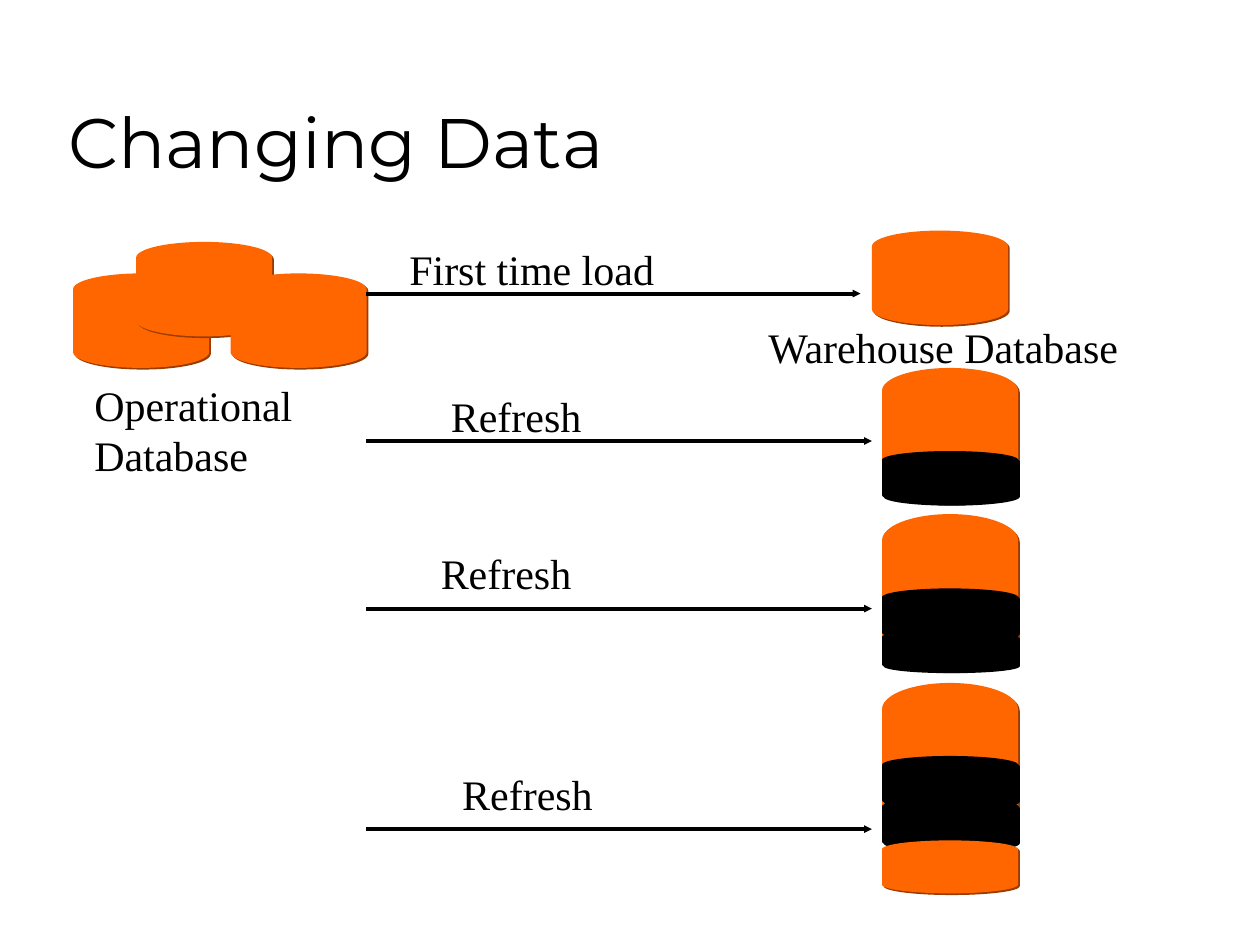
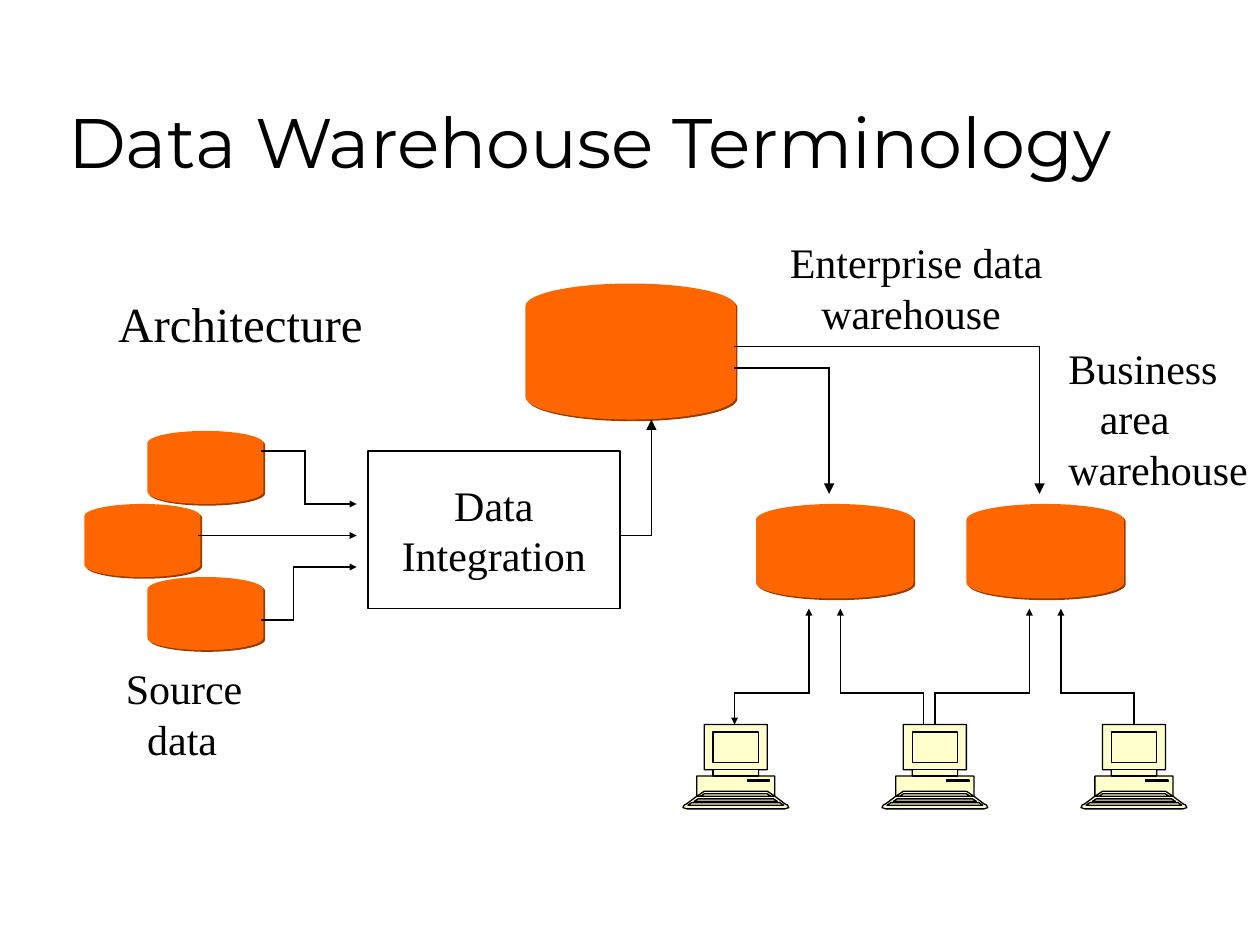
"""Build two slides on data warehouse loading and terminology."""
from itertools import pairwise

from lxml import etree
from pptx import Presentation
from pptx import util as u
from pptx.dml.color import RGBColor
from pptx.enum import shapes, text
from pptx.oxml import ns

BLACK, ORANGE, RUST, CREAM = "000000", "FF6600", "983C00", "FFFFCC"
SERIF, SANS = "Times New Roman", "Montserrat"


def ink(fmt, color):
    """Make a fill solid in a hex colour."""
    fmt.solid()
    fmt.fore_color.rgb = RGBColor.from_string(color)


def write(frame, lines, size, face=SERIF, align=text.PP_ALIGN.LEFT, **look):
    """Fill a text frame from a mapping of line to left indent."""
    for key, val in {"word_wrap": False, **look}.items():
        setattr(frame, key, val)
    for i, (line, dent) in enumerate(lines.items()):
        para = frame.paragraphs[0] if i == 0 else frame.add_paragraph()
        para.alignment = align
        if dent:
            props = para._p.get_or_add_pPr()
            props.set("marL", str(u.Inches(dent)))
            props.set("indent", "0")
        run = para.add_run()
        run.text = line
        for key, val in {"name": face, "size": u.Pt(size)}.items():
            setattr(run.font, key, val)
        ink(run.font.fill, BLACK)


pages = [
    {
        "title": "Changing Data",
        "weight": 2.25,
        "cans": [
            (0.58, 2.17, 1.08, 0.75, ORANGE),
            (1.08, 1.92, 1.08, 0.75, ORANGE),
            (1.83, 2.17, 1.08, 0.75, ORANGE),
            (6.92, 1.83, 1.08, 0.75, ORANGE),
            (7, 2.92, 1.08, 1.08, ORANGE),
            (7, 3.58, 1.08, 0.42, BLACK),
            (7, 4.08, 1.08, 1.25, ORANGE),
            (7, 4.67, 1.08, 0.42, BLACK),
            (7, 5, 1.08, 0.33, BLACK),
            (7, 5.42, 1.08, 1.25, ORANGE),
            (7, 6, 1.08, 0.42, BLACK),
            (7, 6.33, 1.08, 0.42, BLACK),
            (7, 6.67, 1.08, 0.42, ORANGE),
        ],
        "wires": [("sm", (2.92, y), (x, y)) for x, y in
                  [(6.83, 2.33), (6.92, 3.5), (6.92, 4.83), (6.92, 6.58)]],
        "notes": [
            (6, 2.5, 3.1, 0.5, 24, {"Warehouse Database": 0}),
            (3.15, 1.88, 2.3, 0.5, 24, {"First time load": 0}),
            (3.48, 3.05, 1.4, 0.5, 24, {"Refresh": 0}),
            (3.4, 4.3, 1.4, 0.5, 24, {"Refresh": 0}),
            (3.57, 6.05, 1.4, 0.5, 24, {"Refresh": 0}),
            (0.65, 2.96, 1.94, 0.9, 24, {"Operational": 0, "Database": 0}),
        ],
    },
    {
        "title": "Data Warehouse Terminology",
        "weight": 1,
        "cans": [
            (4.17, 2.25, 1.67, 1.08, ORANGE),
            (6, 4, 1.25, 0.75, ORANGE),
            (7.67, 4, 1.25, 0.75, ORANGE),
            (1.17, 3.42, 0.92, 0.58, ORANGE),
            (0.67, 4, 0.92, 0.58, ORANGE),
            (1.17, 4.58, 0.92, 0.58, ORANGE),
        ],
        "wires": [
            ("med", (4.92, 4.25), (5.17, 4.25), (5.17, 3.33)),
            ("med", (5.83, 2.92), (6.58, 2.92), (6.58, 3.92)),
            ("med", (5.83, 2.75), (8.25, 2.75), (8.25, 3.92)),
            ("sm", (6.42, 5.5), (5.83, 5.5), (5.83, 5.75)),
            ("sm", (6.42, 5.5), (6.42, 4.83)),
            ("sm", (7.33, 5.75), (7.33, 5.5), (6.67, 5.5), (6.67, 4.83)),
            ("sm", (7.42, 5.75), (7.42, 5.5), (8.17, 5.5), (8.17, 4.83)),
            ("sm", (9, 5.75), (9, 5.5), (8.42, 5.5), (8.42, 4.83)),
            ("sm", (1.58, 4.25), (2.83, 4.25)),
            ("sm", (2.08, 3.58), (2.42, 3.58), (2.42, 4), (2.83, 4)),
            ("sm", (2.08, 4.92), (2.33, 4.92), (2.33, 4.5), (2.83, 4.5)),
        ],
        "notes": [
            (6.17, 1.83, 2.3, 0.9, 24, {"Enterprise data": 0, "warehouse": 0.25}),
            (8.38, 2.67, 1.75, 1.3, 24, {"Business": 0, "area": 0.25, "warehouse": 0}),
            (0.9, 5.21, 1.3, 0.9, 24, {"Source": 0, "data": 0.17}),
            (0.84, 2.28, 2.3, 0.57, 28, {"Architecture": 0}),
        ],
    },
]

deck = Presentation()
deck.slide_width, deck.slide_height = u.Inches(10), u.Inches(7.5)

for page in pages:
    slide = deck.slides.add_slide(deck.slide_layouts[5])
    title = slide.shapes.title
    for key, val in {"left": 0.44, "top": 0.25, "width": 8.5, "height": 1.25}.items():
        setattr(title, key, u.Inches(val))
    write(title.text_frame, {page["title"]: 0}, 40, SANS, word_wrap=True,
          vertical_anchor=text.MSO_ANCHOR.BOTTOM, auto_size=text.MSO_AUTO_SIZE.NONE)

    for *box, color in page["cans"]:
        can = slide.shapes.add_shape(shapes.MSO_SHAPE.FLOWCHART_MAGNETIC_DISK,
                                     *map(u.Inches, box))
        ink(can.fill, color)
        can.line.fill.background()
        can.shadow.inherit = False
        effect = can._element.spPr.find(ns.qn("a:effectLst"))
        shade = etree.SubElement(effect, ns.qn("a:outerShdw"), blurRad="0",
                                 dist=str(u.Pt(1.4)), dir="2700000",
                                 algn="ctr", rotWithShape="0")
        etree.SubElement(shade, ns.qn("a:srgbClr"), val=RUST if color == ORANGE else BLACK)

    for tip, *wire in page["wires"]:
        for start, end in pairwise(wire):
            line = slide.shapes.add_connector(shapes.MSO_CONNECTOR.STRAIGHT,
                                              *map(u.Inches, start + end))
            line.line.width = u.Pt(page["weight"])
            ink(line.line.fill, BLACK)
            line.get_or_add_ln().set("cap", "sq")
            etree.SubElement(line._element.spPr, ns.qn("a:effectLst"))
        etree.SubElement(line.get_or_add_ln(), ns.qn("a:tailEnd"),
                         type="triangle", w=tip, len=tip)

    for *box, size, lines in page["notes"]:
        note = slide.shapes.add_textbox(*map(u.Inches, box))
        write(note.text_frame, lines, size, auto_size=text.MSO_AUTO_SIZE.SHAPE_TO_FIT_TEXT)

hub = slide.shapes.add_shape(shapes.MSO_SHAPE.RECTANGLE,
                             *map(u.Inches, (2.92, 3.58, 2, 1.25)))
hub.fill.background()
hub.line.width = u.Pt(1)
ink(hub.line.fill, BLACK)
hub.shadow.inherit = False
write(hub.text_frame, {"Data": 0, "Integration": 0}, 24, align=text.PP_ALIGN.CENTER,
      vertical_anchor=text.MSO_ANCHOR.MIDDLE)

case = [(0.25, 5.75), (0.25, 6.11), (0.18, 6.11), (0.18, 6.16), (0.31, 6.16),
        (0.31, 6.32), (0.39, 6.38), (0.41, 6.39), (0.42, 6.41), (0.39, 6.42)]
parts = [
    (0, case),
    (0, [(0.18, 5.81), (0.18, 6.05)]),
    (0, [(0.18, 6.11), (0.18, 6.16)]),
    (0.18, [(0.09, 6.19), (0.09, 6.2)]),
    (0, [(0.25, 6.28), (0.31, 6.32)]),
    (0, [(0.25, 6.3), (0.28, 6.32)]),
    (0, [(0.3, 6.34), (0.33, 6.36)]),
    (0, [(0.35, 6.37), (0.38, 6.39)]),
]
for i in range(3):
    for shift, half in parts:
        mid = 5.84 + 1.58 * i + shift
        ring = [(mid + dx, y) for dx, y in half]
        ring += [(mid - dx, y) for dx, y in reversed(half)]
        first, *rest = [(u.Inches(x), u.Inches(y)) for x, y in ring]
        pen = slide.shapes.build_freeform(*first)
        pen.add_line_segments(rest, close=True)
        part = pen.convert_to_shape()
        ink(part.fill, CREAM)
        part.line.width = u.Pt(0.75)
        ink(part.line.fill, BLACK)
        part.shadow.inherit = False

deck.save("out.pptx")
